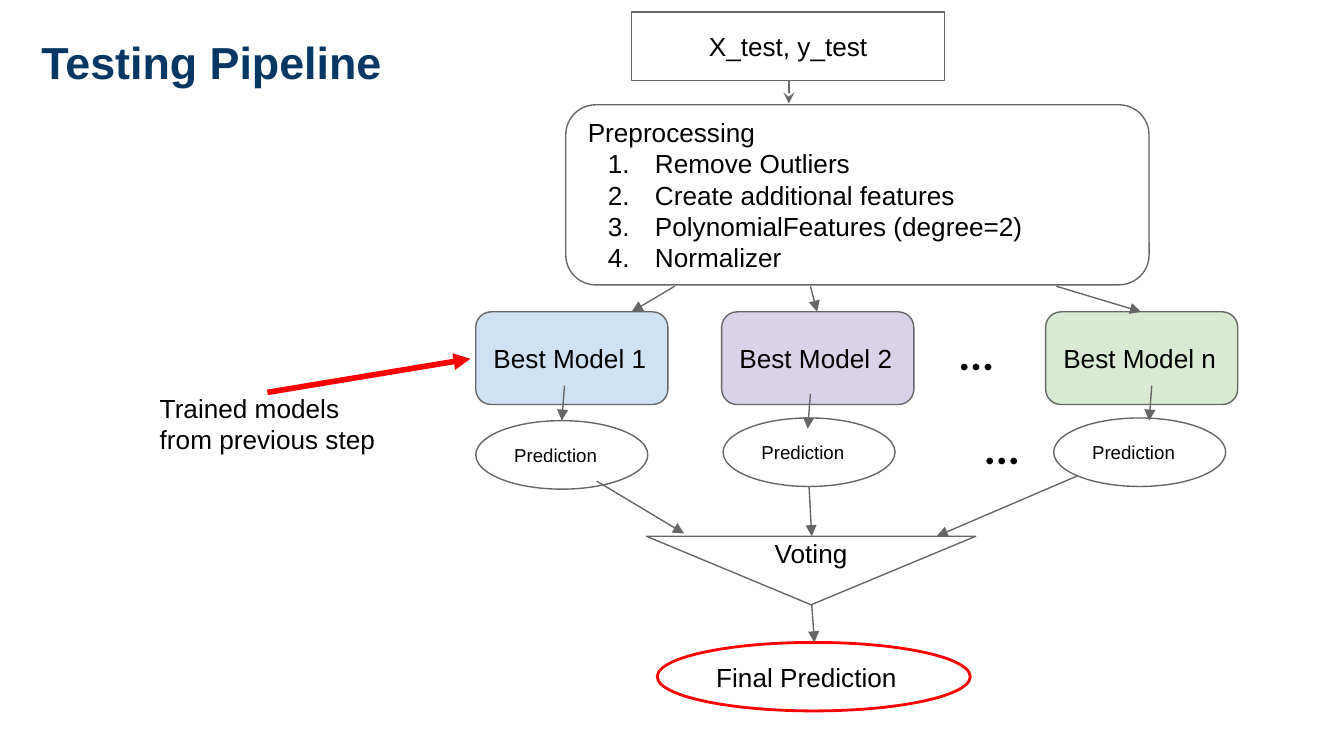
"""Build the testing pipeline slide."""
from lxml.etree import SubElement
from pptx import Presentation
from pptx.dml.color import RGBColor
from pptx.enum.shapes import MSO_CONNECTOR, MSO_SHAPE
from pptx.enum.text import MSO_ANCHOR, MSO_AUTO_SIZE, PP_ALIGN
from pptx.oxml.ns import qn
from pptx.util import Inches, Pt

COLORS = {
    "title": "073763",
    "text": "000000",
    "line": "666666",
    "accent": "FF0000",
    "blue": "CFE2F3",
    "purple": "D9D2E9",
    "green": "D9EAD3",
}
MODELS = [
    ("Best Model 1", 3.54, "blue", (3.54, 3.13)),
    ("Best Model 2", 5.37, "purple", (5.38, 3.11)),
    ("Best Model n", 7.78, "green", (7.84, 3.11)),
]
STEPS = [
    "Remove Outliers",
    "Create additional features",
    "PolynomialFeatures (degree=2)",
    "Normalizer",
]
ARROWS = [
    ((5.02, 2.13), (4.7, 2.32)),
    ((6.03, 2.13), (6.08, 2.32)),
    ((7.86, 2.13), (8.49, 2.32)),
    ((4.2, 2.87), (4.18, 3.13)),
    ((6.03, 2.93), (6.01, 3.19)),
    ((8.57, 2.87), (8.55, 3.13)),
    ((4.44, 3.58), (5.09, 3.97)),
    ((6.02, 3.62), (6.04, 3.99)),
    ((8.02, 3.54), (6.97, 3.99)),
    ((6.04, 4.5), (6.06, 4.78)),
]


def rgb(name):
    """Return the named colour."""
    return RGBColor.from_string(COLORS[name])


def number_paragraph(para):
    """Give a paragraph an automatic number and a hanging indent."""
    properties = para._p.get_or_add_pPr()
    properties.set("marL", str(Inches(0.5)))
    properties.set("indent", str(-Inches(0.35)))
    bullet_color = SubElement(properties, qn("a:buClr"))
    SubElement(bullet_color, qn("a:srgbClr"), val=COLORS["text"])
    SubElement(properties, qn("a:buFont"), typeface="Arial")
    SubElement(properties, qn("a:buAutoNum"), type="arabicPeriod")


def write_text(frame, lines, size=14, font="Arial", color="text", bold=False,
               align=PP_ALIGN.LEFT, anchor=MSO_ANCHOR.TOP, wrap=True,
               inset_left=0.1, inset_top=0.1, numbered_from=None):
    """Fill a text frame with formatted lines, numbering those from an index on."""
    frame.word_wrap = wrap
    frame.vertical_anchor = anchor
    frame.margin_left, frame.margin_right = Inches(inset_left), Inches(0.1)
    frame.margin_top = frame.margin_bottom = Inches(inset_top)
    for index, line in enumerate(lines):
        para = frame.paragraphs[0] if index == 0 else frame.add_paragraph()
        if numbered_from is not None and index >= numbered_from:
            number_paragraph(para)
        para.alignment = align
        span = para.add_run()
        span.text = line
        span.font.name = font
        span.font.size = Pt(size)
        span.font.bold = bold
        span.font.color.rgb = rgb(color)


def add_label(page, lines, left, top, width, height, **text_format):
    """Add a text box."""
    box = page.shapes.add_textbox(Inches(left), Inches(top), Inches(width), Inches(height))
    write_text(box.text_frame, lines, **text_format)
    return box


def add_node(page, kind, lines, left, top, width, height, fill=None,
             line="line", line_width=0.75, **text_format):
    """Add an outlined shape with text centred vertically."""
    node = page.shapes.add_shape(kind, Inches(left), Inches(top), Inches(width), Inches(height))
    node.shadow.inherit = False
    if fill:
        node.fill.solid()
        node.fill.fore_color.rgb = rgb(fill)
    else:
        node.fill.background()
    node.line.color.rgb = rgb(line)
    node.line.width = Pt(line_width)
    write_text(node.text_frame, lines, anchor=MSO_ANCHOR.MIDDLE, **text_format)


def add_arrow(page, start, end, color="line", width=0.75, head="triangle"):
    """Add a straight arrow from start to end."""
    arrow = page.shapes.add_connector(
        MSO_CONNECTOR.STRAIGHT, *(Inches(value) for value in (*start, *end)))
    arrow.line.color.rgb = rgb(color)
    arrow.line.width = Pt(width)
    SubElement(arrow.line._get_or_add_ln(), qn("a:tailEnd"), type=head, w="med", len="med")
    SubElement(arrow._element.spPr, qn("a:effectLst"))


def add_models(page):
    """Add the models with their predictions and the dots between them."""
    for name, left, fill, oval_position in MODELS:
        add_node(page, MSO_SHAPE.ROUNDED_RECTANGLE, [name], left, 2.32, 1.43, 0.69, fill=fill)
        add_node(page, MSO_SHAPE.OVAL, ["Prediction"], *oval_position, 1.28, 0.51, size=10)
    for left, top in [(6.88, 2.32), (7.07, 3.02)]:
        add_label(page, ["..."], left, top, 0.98, 0.69, size=24, font="Calibri",
                  bold=True, inset_left=0.25)


def main():
    """Build and save the deck."""
    deck = Presentation()
    deck.slide_width = Inches(10)
    deck.slide_height = Inches(10 * 9 / 16)
    page = deck.slides.add_slide(deck.slide_layouts[6])

    add_label(page, ["Testing Pipeline"], 0.21, 0.16, 9.66, 0.88,
              size=24, color="title", bold=True)
    add_node(page, MSO_SHAPE.RECTANGLE, ["X_test, y_test"], 4.7, 0.09, 2.33, 0.51,
             align=PP_ALIGN.CENTER)
    add_node(page, MSO_SHAPE.ROUNDED_RECTANGLE, ["Preprocessing", *STEPS],
             4.21, 0.78, 4.34, 1.34, numbered_from=1)
    add_models(page)
    add_node(page, MSO_SHAPE.FLOWCHART_MERGE, ["Voting"], 4.81, 3.99, 2.45, 0.51,
             align=PP_ALIGN.CENTER)
    add_node(page, MSO_SHAPE.OVAL, ["Final Prediction"], 4.89, 4.78, 2.33, 0.51,
             line="accent", line_width=1.5)

    add_arrow(page, (5.87, 0.6), (5.87, 0.77), head="stealth")
    for start, end in ARROWS:
        add_arrow(page, start, end)
    add_arrow(page, (1.99, 2.92), (3.5, 2.67), color="accent", width=3)
    note = add_label(page, ["Trained models", "from previous step"],
                     1.09, 2.87, 1.81, 0.57, wrap=False, inset_top=0.05)
    note.text_frame.auto_size = MSO_AUTO_SIZE.SHAPE_TO_FIT_TEXT

    deck.save("out.pptx")


if __name__ == "__main__":
    main()
